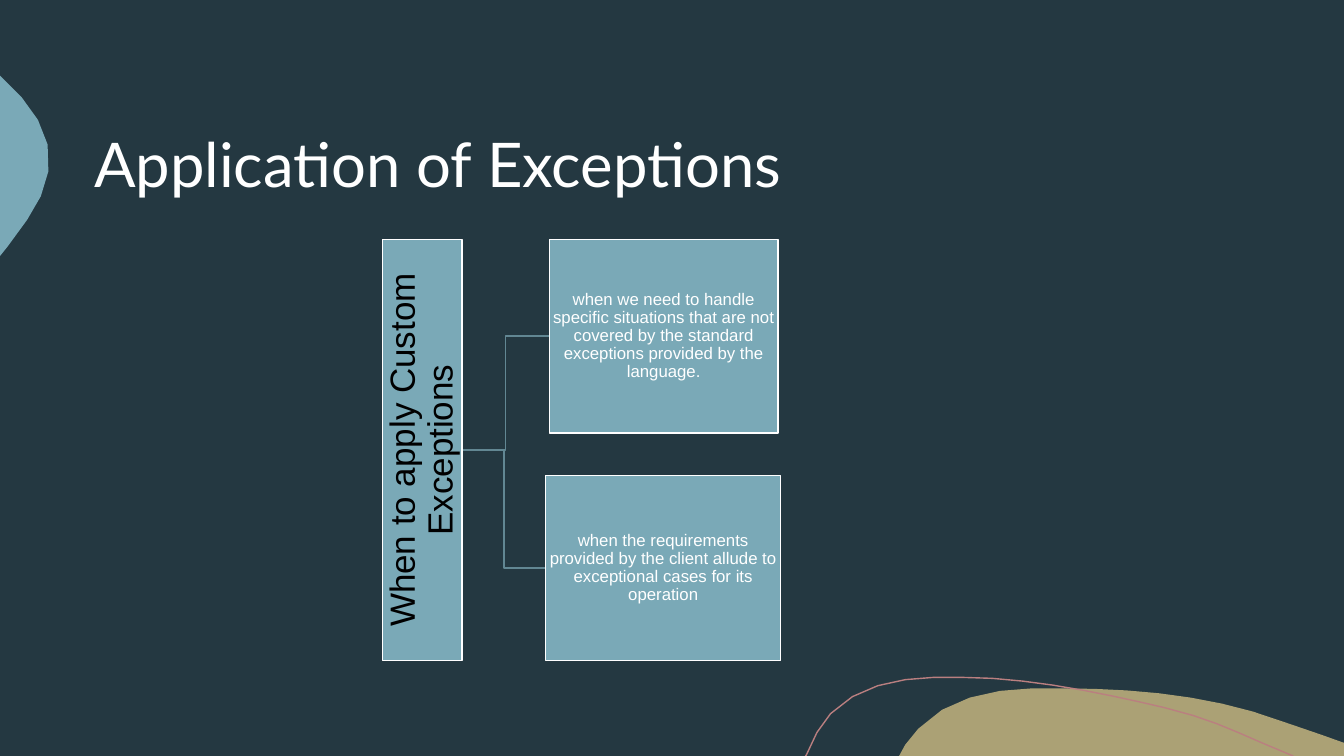
"""Build the "Application of Exceptions" slide with its branching diagram."""
import math
from dataclasses import dataclass

import lxml.etree
import pptx
import pptx.dml.color
import pptx.enum.shapes
import pptx.enum.text
import pptx.oxml.ns
import pptx.shapes.base
import pptx.slide
import pptx.text.text
import pptx.util

Point = tuple[float, float]
Segment = tuple[Point, ...]

COLUMNS, ROWS = 160, 90
CELL = pptx.util.Inches(7.5) / ROWS
CHORD = 4


@dataclass(frozen=True)
class Theme:
    background: str = "243841"
    sand: str = "ABA175"
    blue: str = "7AA9B7"
    rose: str = "BA7F80"
    branch: str = "628793"
    light: str = "FFFFFF"
    dark: str = "000000"
    title_font: str = "Lato"
    body_font: str = "Arial"
    title_size: float = 44
    topic_size: float = 25
    reason_size: float = 12
    line_width: float = 1


@dataclass(frozen=True)
class Blob:
    start: Point
    segments: tuple[Segment, ...]
    fill: str | None = None
    line: str | None = None


@dataclass(frozen=True)
class Node:
    text: str
    left: float
    top: float
    width: float
    height: float
    size: float
    colour: str
    inset: float = 0.12
    rotation: float = 0


THEME = Theme()

BLOBS = (
    Blob((126.48, 81.96), (
        ((135.36, 81.96), (144.48, 82.8), (152.76, 85.92)),
        ((154.32, 86.4), (155.76, 87), (157.32, 87.48)),
        ((160, 88.44),), ((160, 90),), ((107.04, 90),), ((107.76, 88.68),),
        ((108.24, 87.96), (108.72, 87.36), (109.32, 86.76)),
        ((112.68, 83.16), (117.84, 82.08), (122.76, 81.96)),
    ), fill=THEME.sand),
    Blob((0, 9), (
        ((0.12, 9.12),),
        ((3.6, 12.24), (6.48, 15.96), (5.76, 20.4)),
        ((5.52, 22.44), (4.44, 24.36), (3.24, 26.16)),
        ((2.88, 26.88), (2.04, 27.96), (0.96, 29.28)),
        ((0, 30.48),),
    ), fill=THEME.blue),
    Blob((95.88, 90), (
        ((96, 89.88),),
        ((96.72, 87.96), (97.68, 86.28), (98.88, 84.96)),
        ((102, 81.72), (106.68, 80.76), (111.12, 80.64)),
        ((114.6, 80.64),),
        ((122.64, 80.64), (132, 82.68), (138.6, 84.24)),
        ((145.08, 85.8), (147.12, 87.24), (153.96, 90)),
    ), line=THEME.rose),
)

TOPIC = Node("When to apply Custom Exceptions", 25.2, 48.84, 50.16, 9.48,
             THEME.topic_size, THEME.dark, inset=0.24, rotation=270)
REASONS = (
    Node("when we need to handle specific situations that are not covered by "
         "the standard exceptions provided by the language.",
         65.4, 28.5, 27.24, 23.04, THEME.reason_size, THEME.light),
    Node("when the requirements provided by the client allude to exceptional "
         "cases for its operation",
         64.98, 56.58, 27.96, 22.08, THEME.reason_size, THEME.light),
)


def cells(count: float) -> pptx.util.Emu:
    return pptx.util.Emu(round(count * CELL))


def rgb(colour: str) -> pptx.dml.color.RGBColor:
    return pptx.dml.color.RGBColor.from_string(colour)


def place(shape: pptx.shapes.base.BaseShape, left: float, top: float,
          width: float, height: float) -> None:
    shape.left, shape.top = cells(left), cells(top)
    shape.width, shape.height = cells(width), cells(height)


def write(frame: pptx.text.text.TextFrame, text: str, *, font: str, size: float,
          colour: str, align: pptx.enum.text.PP_ALIGN, inset: float) -> None:
    frame.word_wrap = True
    frame.auto_size = pptx.enum.text.MSO_AUTO_SIZE.NONE
    frame.vertical_anchor = pptx.enum.text.MSO_ANCHOR.MIDDLE
    frame.margin_left = frame.margin_right = cells(inset)
    frame.margin_top = frame.margin_bottom = cells(inset)
    para = frame.paragraphs[0]
    para.alignment = align
    para.line_spacing = 0.9
    para.space_before = pptx.util.Pt(0)
    span = para.add_run()
    span.text = text
    span.font.name = font
    span.font.size = pptx.util.Pt(size)
    span.font.color.rgb = rgb(colour)


def trace(start: Point, segment: Segment) -> list[Point]:
    if len(segment) == 1:
        return list(segment)
    controls = tuple(zip(start, *segment))
    steps = math.ceil(math.dist(start, segment[-1]) / CHORD)
    points = []
    for step in range(1, steps + 1):
        t = step / steps
        weights = ((1 - t) ** 3, 3 * t * (1 - t) ** 2, 3 * t ** 2 * (1 - t), t ** 3)
        x, y = (sum(w * c for w, c in zip(weights, axis)) for axis in controls)
        points.append((x, y))
    return points


def draw_blob(page: pptx.slide.Slide, blob: Blob) -> None:
    points = [blob.start]
    for segment in blob.segments:
        points += trace(points[-1], segment)
    corners = [(cells(x), cells(y)) for x, y in points]
    builder = page.shapes.build_freeform(*corners[0])
    builder.add_line_segments(corners[1:], close=blob.fill is not None)
    shape = builder.convert_to_shape()
    shape.shadow.inherit = False
    if blob.fill:
        shape.fill.solid()
        shape.fill.fore_color.rgb = rgb(blob.fill)
    else:
        shape.fill.background()
    if blob.line:
        shape.line.color.rgb = rgb(blob.line)
        shape.line.width = pptx.util.Pt(THEME.line_width)
    else:
        shape.line.fill.background()


def draw_node(page: pptx.slide.Slide, node: Node) -> None:
    box = page.shapes.add_shape(pptx.enum.shapes.MSO_SHAPE.RECTANGLE, 0, 0, 0, 0)
    place(box, node.left, node.top, node.width, node.height)
    box.rotation = node.rotation
    box.shadow.inherit = False
    box.fill.solid()
    box.fill.fore_color.rgb = rgb(THEME.blue)
    box.line.color.rgb = rgb(THEME.light)
    box.line.width = pptx.util.Pt(THEME.line_width)
    write(box.text_frame, node.text, font=THEME.body_font, size=node.size,
          colour=node.colour, align=pptx.enum.text.PP_ALIGN.CENTER, inset=node.inset)


def draw_branch(page: pptx.slide.Slide, topic: Node, reason: Node) -> None:
    middle = topic.left + topic.width / 2
    branch = page.shapes.add_connector(
        pptx.enum.shapes.MSO_CONNECTOR.ELBOW,
        cells(middle + topic.height / 2), cells(topic.top + topic.height / 2),
        cells(reason.left), cells(reason.top + reason.height / 2))
    branch.line.color.rgb = rgb(THEME.branch)
    branch.line.width = pptx.util.Pt(THEME.line_width)
    lxml.etree.SubElement(branch._element.spPr, pptx.oxml.ns.qn("a:effectLst"))


def main() -> None:
    deck = pptx.Presentation()
    deck.slide_width, deck.slide_height = cells(COLUMNS), cells(ROWS)
    page = deck.slides.add_slide(deck.slide_layouts.get_by_name("Title Only"))
    page.background.fill.solid()
    page.background.fill.fore_color.rgb = rgb(THEME.background)
    for blob in BLOBS:
        draw_blob(page, blob)
    place(page.shapes.title, 10, 10, 140, 20)
    write(page.shapes.title.text_frame, "Application of Exceptions",
          font=THEME.title_font, size=THEME.title_size, colour=THEME.light,
          align=pptx.enum.text.PP_ALIGN.LEFT, inset=1.2)
    for reason in reversed(REASONS):
        draw_branch(page, TOPIC, reason)
    for node in (TOPIC, *REASONS):
        draw_node(page, node)
    deck.save("out.pptx")


if __name__ == "__main__":
    main()
